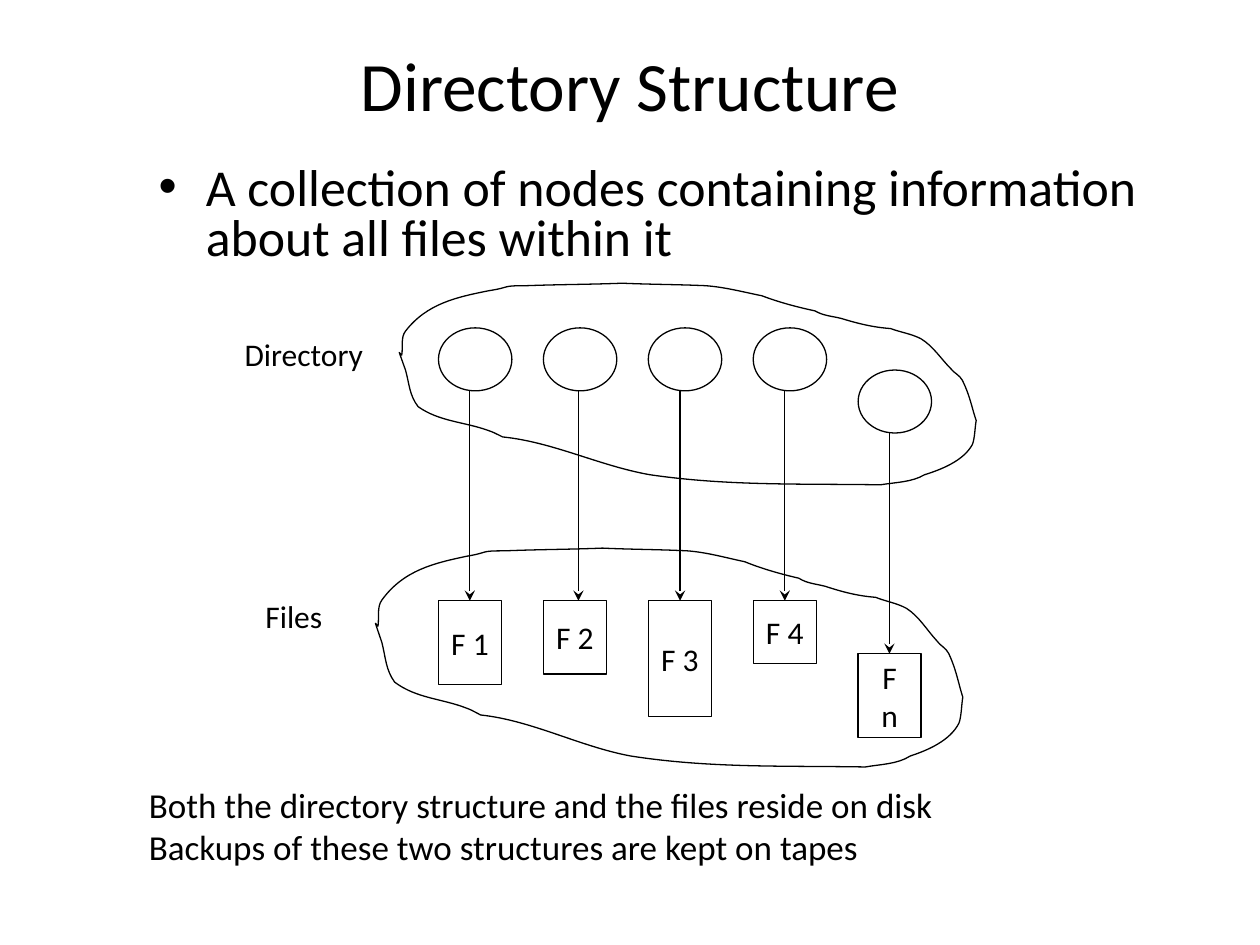
import pptx
import pptx.util
import pptx.dml.color
import pptx.enum.shapes
import pptx.enum.text
import pptx.oxml.ns
import lxml.etree

# Content
TITLE = "Directory Structure"
BULLET = "A collection of nodes containing information about all files within it"
NOTES = ["Both the directory structure and the files reside on disk",
         "Backups of these two structures are kept on tapes"]
# File name, side margin, box height, arrow x, node top, box top (cm)
FILES = [
    ("F 1", 0.25, 1.69, 9.47, 6.61, 12.11),
    ("F 2", 0.25, 1.48, 11.66, 6.61, 12.11),
    ("F 3", 0.25, 2.33, 13.71, 6.61, 12.11),
    ("F 4", 0.25, 1.27, 15.82, 6.61, 12.11),
    ("F n", 0.3, 1.69, 17.93, 7.46, 13.18),
]
# Group label and its box, then the box of the outline around the group (cm)
GROUPS = [
    ("Directory", (4.6, 6.62, 3.05, 1.02), (8.05, 5.71, 11.63, 4.09)),
    ("Files", (5.0, 11.91, 1.85, 1.02), (7.57, 11.05, 11.84, 4.44)),
]
# Hand-drawn outline on a 458 x 161 grid: start, then control, control, end
OUTLINE_GRID = (458, 161)
OUTLINE_START = (2, 57)
OUTLINE_CURVES = [
    (3, 51, 1, 43, 5, 38), (22, 16, 46, 11, 71, 6),
    (90, 3, 80, 2, 101, 2), (127, 1, 152, 1, 177, 0),
    (199, 1, 221, 1, 243, 2), (258, 3, 273, 7, 288, 10),
    (301, 15, 316, 19, 330, 22), (337, 26, 343, 26, 351, 28),
    (364, 32, 376, 35, 390, 36), (398, 39, 406, 40, 414, 44),
    (424, 50, 430, 60, 438, 68), (440, 71, 445, 73, 447, 77),
    (451, 85, 453, 92, 455, 99), (456, 103, 458, 109, 458, 109),
    (457, 114, 457, 123, 455, 128), (448, 141, 430, 148, 417, 152),
    (407, 158, 394, 158, 382, 160), (318, 159, 261, 161, 199, 152),
    (159, 145, 122, 126, 82, 122), (81, 121, 79, 121, 78, 120),
    (76, 119, 74, 118, 71, 117), (52, 110, 32, 110, 15, 98),
    (8, 89, 8, 80, 5, 69), (5, 69, 1, 58, 0, 55), (0, 55, 1, 56, 2, 57),
]

# Layout and style
FIRST_LEFT, LAST_LEFT = 8.84, 17.3
COLUMN_PITCH = (LAST_LEFT - FIRST_LEFT) / (len(FILES) - 1)
NODE_WIDTH, NODE_HEIGHT = 1.48, 1.27
BOX_WIDTH = 1.27
BLACK, WHITE = "000000", "FFFFFF"
FONT = "Calibri"

Cm, Pt = pptx.util.Cm, pptx.util.Pt
ALIGN, ANCHOR = pptx.enum.text.PP_ALIGN, pptx.enum.text.MSO_ANCHOR
SHAPE = pptx.enum.shapes.MSO_SHAPE


def color(hex_string):
    return pptx.dml.color.RGBColor.from_string(hex_string)


def add_child(parent, tag, **attributes):
    return lxml.etree.SubElement(parent, pptx.oxml.ns.qn(tag), attributes)


def write_text(shape, *lines, size=18, align=ALIGN.CENTER, anchor=ANCHOR.MIDDLE,
               spacing=None, bullet_indent=None, margin=None):
    frame = shape.text_frame
    frame.word_wrap = True
    frame.vertical_anchor = anchor
    if margin:
        frame.margin_left = frame.margin_right = Cm(margin)
    for index, line in enumerate(lines):
        paragraph = frame.add_paragraph() if index else frame.paragraphs[0]
        paragraph.alignment = align
        if spacing:
            paragraph.line_spacing = spacing
        if bullet_indent:
            properties = paragraph._p.get_or_add_pPr()
            properties.set("marL", str(Cm(bullet_indent)))
            properties.set("indent", str(-Cm(bullet_indent)))
            add_child(properties, "a:buFont", typeface="Arial")
            add_child(properties, "a:buChar", char="•")
        run = paragraph.add_run()
        run.text = line
        run.font.size = Pt(size)
        run.font.name = FONT
        run.font.color.rgb = color(BLACK)


def add_text(slide, box, *lines, **text_format):
    shape = slide.shapes.add_textbox(*map(Cm, box))
    write_text(shape, *lines, **text_format)


def style_line(shape):
    shape.line.color.rgb = color(BLACK)
    shape.line.width = Pt(0.75)


def style_shape(shape, fill=None):
    shape.shadow.inherit = False
    if fill:
        shape.fill.solid()
        shape.fill.fore_color.rgb = color(fill)
    else:
        shape.fill.background()
    style_line(shape)


def add_preset(slide, kind, *box):
    shape = slide.shapes.add_shape(kind, *map(Cm, box))
    style_shape(shape, WHITE)
    return shape


def add_arrow(slide, x, top, bottom):
    arrow = slide.shapes.add_connector(pptx.enum.shapes.MSO_CONNECTOR.STRAIGHT,
                                       Cm(x), Cm(top), Cm(x), Cm(bottom))
    style_line(arrow)
    add_child(arrow.line._get_or_add_ln(), "a:tailEnd", type="stealth")
    add_child(arrow._element.spPr, "a:effectLst")


def add_segment(outline, tag, coordinates):
    segment = add_child(outline, tag)
    for x, y in zip(coordinates[::2], coordinates[1::2]):
        add_child(segment, "a:pt", x=str(x), y=str(y))


def add_outline(slide, left, top, width, height):
    # The frame sets the grid; curves then take the place of its straight sides
    columns, rows = OUTLINE_GRID
    builder = slide.shapes.build_freeform(
        0, 0, scale=(Cm(width) / columns, Cm(height) / rows))
    builder.add_line_segments([(columns, 0), (columns, rows), (0, rows)], close=True)
    shape = builder.convert_to_shape(Cm(left), Cm(top))
    outline = next(shape._element.iter(pptx.oxml.ns.qn("a:path")))
    for side in list(outline):
        outline.remove(side)
    add_segment(outline, "a:moveTo", OUTLINE_START)
    for curve in OUTLINE_CURVES:
        add_segment(outline, "a:cubicBezTo", curve)
    add_child(outline, "a:close")
    style_shape(shape)


def main():
    presentation = pptx.Presentation()
    presentation.slide_width, presentation.slide_height = Cm(25.4), Cm(19.05)
    slide = presentation.slides.add_slide(presentation.slide_layouts[6])

    # Heading and bullet
    add_text(slide, (1.27, 0.76, 22.86, 1.85), TITLE, size=39.6)
    add_text(slide, (2.95, 3.24, 20.78, 2.31), BULLET, size=29.6, align=ALIGN.LEFT,
             anchor=ANCHOR.TOP, spacing=0.8, bullet_indent=0.95)

    # Each directory node points to its file
    for column, (name, margin, height, arrow_x, node_top, box_top) in enumerate(FILES):
        left = FIRST_LEFT + column * COLUMN_PITCH
        add_preset(slide, SHAPE.OVAL, left, node_top, NODE_WIDTH, NODE_HEIGHT)
        box = add_preset(slide, SHAPE.RECTANGLE, left, box_top, BOX_WIDTH, height)
        write_text(box, name, margin=margin)
        add_arrow(slide, arrow_x, node_top + NODE_HEIGHT, box_top)

    # Outlines and labels of the two groups
    for label, label_box, outline_box in GROUPS:
        add_outline(slide, *outline_box)
        add_text(slide, label_box, label)

    # Closing notes
    add_text(slide, (2.75, 15.67, 19.53, 1.07), *NOTES, size=20,
             align=ALIGN.LEFT, anchor=ANCHOR.TOP)
    presentation.save("out.pptx")


if __name__ == "__main__":
    main()
